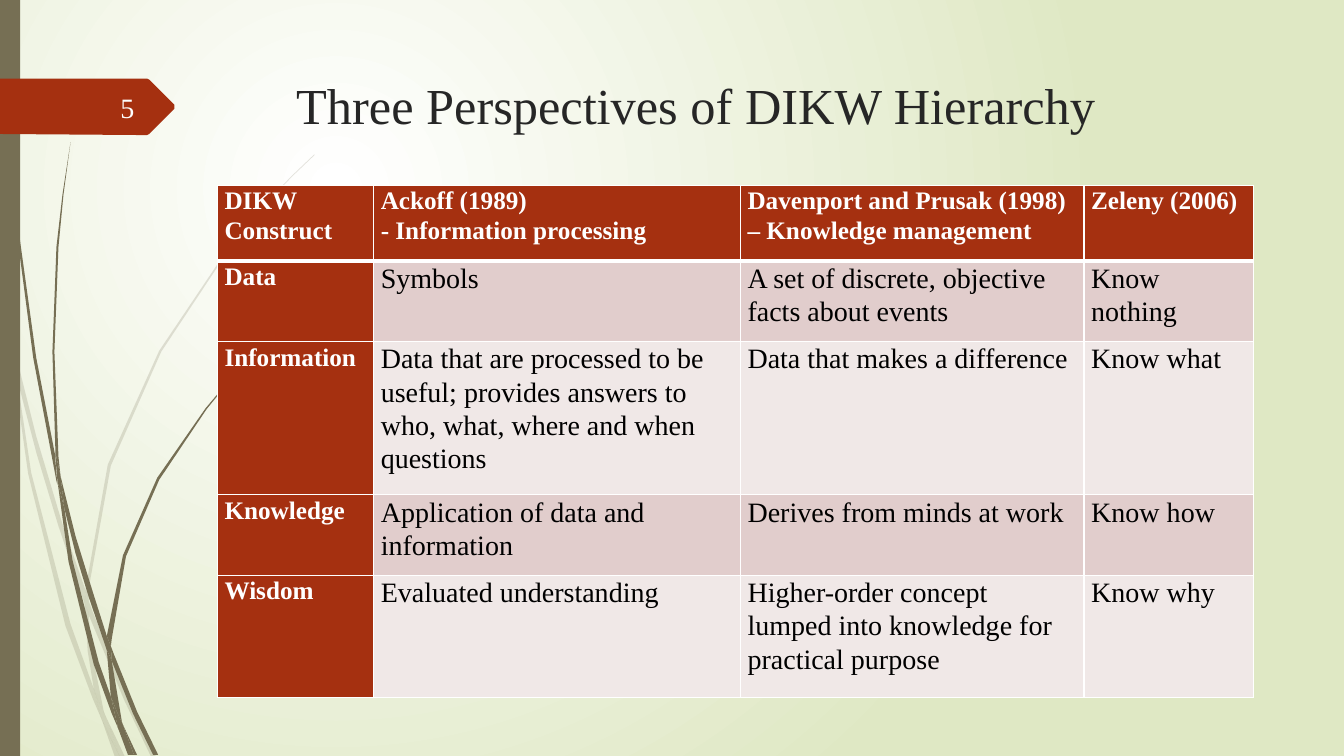
import pptx
import pptx.dml.color
import pptx.enum.shapes
import pptx.enum.text
import pptx.oxml
import pptx.oxml.ns
import pptx.util

Pt = pptx.util.Pt
RGB = pptx.dml.color.RGBColor
ALIGN = pptx.enum.text.PP_ALIGN
ANCHOR = pptx.enum.text.MSO_ANCHOR
SHAPE = pptx.enum.shapes.MSO_SHAPE
qn = pptx.oxml.ns.qn

WHITE, BLACK, SNOW = RGB(255, 255, 255), RGB(0, 0, 0), RGB(0xFE, 0xFF, 0xFF)
INK, OLIVE, RUST = RGB(0x26, 0x26, 0x26), RGB(0x76, 0x6F, 0x54), RGB(0xA5, 0x30, 0x10)
LIME, ROSE, BLUSH = RGB(0xDF, 0xE8, 0xC4), RGB(0xE1, 0xCD, 0xCC), RGB(0xF0, 0xE8, 0xE7)
FACE = "Times New Roman"
WIDE, HIGH = 960, 540
UNIT = Pt(0.72)  # one step of the outlines below

TITLE = "Three Perspectives of DIKW Hierarchy"
PAGE = "5"
ROWS = [
    ("DIKW Construct", "Ackoff (1989)\n- Information processing",
     "Davenport and Prusak (1998) – Knowledge management", "Zeleny (2006)"),
    ("Data", "Symbols", "A set of discrete, objective facts about events", "Know nothing"),
    ("Information", "Data that are processed to be useful; provides answers to who, "
     "what, where and when questions", "Data that makes a difference", "Know what"),
    ("Knowledge", "Application of data and information",
     "Derives from minds at work", "Know how"),
    ("Wisdom", "Evaluated understanding",
     "Higher-order concept lumped into knowledge for practical purpose", "Know why"),
]
COLS = [111.6, 262, 245.5, 121]
TALL = [54, 57.6, 109.4, 57.6, 87.1]

# Outlines of the grass, corner by corner
PALE = [
    [(11, 350), (9, 322), (0, 282), (0, 299), (10, 344)],
    [(58, 522), (84, 599), (85, 586), (62, 520), (36, 433), (14, 345), (17, 376), (36, 449)],
    [(92, 607), (88, 596), (88, 610), (123, 694), (150, 751), (155, 751), (127, 692)],
    [(119, 751), (124, 751), (105, 711)],
    [(93, 683), (70, 619), (31, 469), (17, 376), (11, 350), (28, 470), (65, 621),
     (92, 693), (101, 714), (99, 707)],
    [(84, 599), (87, 646), (93, 683), (96, 692), (105, 711), (103, 706), (91, 646),
     (88, 610), (88, 608)],
    [(88, 584), (110, 462), (160, 349), (229, 245), (268, 198), (290, 175), (312, 154),
     (312, 153), (289, 175), (268, 197), (228, 244), (158, 348), (107, 461), (85, 584),
     (85, 586), (88, 596)],
    [(101, 714), (114, 751), (119, 751)],
    [(88, 608), (88, 610), (88, 596), (85, 586), (84, 599)],
    [(96, 692), (93, 683), (99, 707), (101, 714), (119, 751), (105, 711)],
]
DARK = [
    [(7, 110), (17, 233), (33, 355), (56, 477), (57, 481), (55, 457), (55, 453),
     (36, 355), (19, 232), (8, 109), (5, 48), (4, 0), (3, 0), (4, 48)],
    [(88, 592), (106, 645), (106, 633), (106, 631), (93, 590), (75, 532), (60, 472),
     (64, 505), (75, 549)],
    [(113, 649), (110, 641), (111, 656), (132, 708), (152, 749), (157, 749), (136, 706)],
    [(110, 691), (98, 657), (72, 556), (64, 505), (57, 477), (68, 557), (93, 659),
     (111, 708), (117, 722), (116, 717)],
    [(60, 472), (58, 453), (54, 349), (58, 245), (63, 193), (70, 141), (62, 193),
     (56, 245), (52, 349), (55, 449)],
    [(133, 749), (136, 749), (122, 719)],
    [(57, 477), (64, 505), (60, 472), (55, 449), (55, 453)],
    [(111, 633), (125, 552), (158, 476), (205, 406), (231, 374), (245, 359), (261, 344),
     (260, 344), (245, 358), (231, 373), (204, 405), (156, 474), (122, 551), (106, 631),
     (110, 641)],
    [(117, 722), (127, 749), (131, 749)],
    [(106, 645), (110, 691), (116, 706), (122, 719), (121, 716), (111, 656), (109, 651)],
    [(106, 645), (109, 651), (111, 656), (110, 641), (106, 631), (106, 633)],
    [(116, 706), (110, 691), (116, 717), (117, 722), (130, 749), (133, 749), (122, 719)],
]
TAG = [(173, 108), (148, 133), (146, 134), (136, 134), (0, 133), (0, 78), (136, 78),
       (146, 78), (148, 79), (173, 104)]


def paint(shape, tint, fade=None):
    """Fill a shape plainly, with an opacity in percent if given."""
    shape.shadow.inherit = False
    shape.fill.solid()
    shape.fill.fore_color.rgb = tint
    shape.line.fill.background()
    if fade:
        node = shape.fill._xPr.find(".//" + qn("a:srgbClr"))
        node.append(pptx.oxml.parse_xml(
            f'<a:alpha {pptx.oxml.ns.nsdecls("a")} val="{fade * 1000}"/>'))


def trace(shapes, edge, tint, fade=None):
    """Draw one closed outline."""
    form = shapes.build_freeform(*edge[0], scale=float(UNIT))
    form.add_line_segments(edge[1:], close=True)
    paint(form.convert_to_shape(), tint, fade)


def write(frame, text, look, align=ALIGN.LEFT, space=None):
    """Put text in a frame with one font look."""
    frame.text = text
    frame.word_wrap = True
    for para in frame.paragraphs:
        para.alignment = align
        para.line_spacing = space
        for run in para.runs:
            run.font.name = FACE
            run.font.color.rgb = look["tint"]
            for key in ("size", "bold"):
                setattr(run.font, key, look[key])


def label(slide, box, text, look, align, anchor):
    """Add a text box."""
    frame = slide.shapes.add_textbox(*map(Pt, box)).text_frame
    write(frame, text, look, align)
    frame.vertical_anchor = anchor


def edges(cell, row):
    """Give a cell white borders, thick below the header row."""
    wide = {"L": 1, "R": 1, "T": 1, "B": 3 if row == 0 else 1}
    if row == 1:
        del wide["T"]
    props = cell._tc.get_or_add_tcPr()
    for n, (side, size) in enumerate(wide.items()):
        props.insert(n, pptx.oxml.parse_xml(
            f'<a:ln{side} {pptx.oxml.ns.nsdecls("a")} w="{Pt(size)}"><a:solidFill>'
            f'<a:srgbClr val="{WHITE}"/></a:solidFill></a:ln{side}>'))


def grid(slide):
    """Add the table of constructs."""
    table = slide.shapes.add_table(len(ROWS), len(COLS), Pt(155.2), Pt(132.5),
                                   Pt(sum(COLS)), Pt(sum(TALL))).table
    for col, wide in zip(table.columns, COLS):
        col.width = Pt(wide)
    for r, texts in enumerate(ROWS):
        table.rows[r].height = Pt(TALL[r])
        for c, text in enumerate(texts):
            cell, head = table.cell(r, c), r == 0 or c == 0
            for key, size in dict(left=5.2, right=5.2, top=0, bottom=0).items():
                setattr(cell, "margin_" + key, Pt(size))
            cell.fill.solid()
            cell.fill.fore_color.rgb = RUST if head else ROSE if r % 2 else BLUSH
            look = dict(size=Pt(18 if head else 20), bold=head,
                        tint=WHITE if head else BLACK)
            write(cell.text_frame, text, look,
                  ALIGN.JUSTIFY if c in (0, 3) else ALIGN.LEFT, 1.07)
            edges(cell, r)


def back(slide):
    """Set the round glow behind everything."""
    fill = slide.background.fill
    fill.gradient()
    for stop, tint, place in zip(fill.gradient_stops, (WHITE, LIME), (0, 1)):
        stop.color.rgb, stop.position = tint, place
    grad = slide.element.find(".//" + qn("a:gradFill"))
    grad.remove(grad.find(qn("a:lin")))
    grad.append(pptx.oxml.parse_xml(
        f'<a:path {pptx.oxml.ns.nsdecls("a")} path="circle"><a:fillToRect l="50000" '
        't="50000" r="100000" b="100000"/></a:path>'))


deck = pptx.Presentation()
deck.slide_width, deck.slide_height = Pt(WIDE), Pt(HIGH)
slide = deck.slides.add_slide(deck.slide_layouts[6])
back(slide)
for grass, fade in ((PALE, 20), (DARK, None)):
    group = slide.shapes.add_group_shape()
    for edge in grass:
        trace(group.shapes, edge, OLIVE, fade)
paint(slide.shapes.add_shape(SHAPE.RECTANGLE, 0, 0, Pt(14.4), Pt(HIGH)), OLIVE)
trace(slide.shapes, TAG, RUST)
label(slide, (204.5, 49.5, 702, 100.8), TITLE,
      dict(size=Pt(36), bold=False, tint=INK), ALIGN.LEFT, ANCHOR.TOP)
grid(slide)
label(slide, (41.8, 62, 61.2, 28.8), PAGE,
      dict(size=Pt(20), bold=False, tint=SNOW), ALIGN.RIGHT, ANCHOR.MIDDLE)
deck.save("out.pptx")
